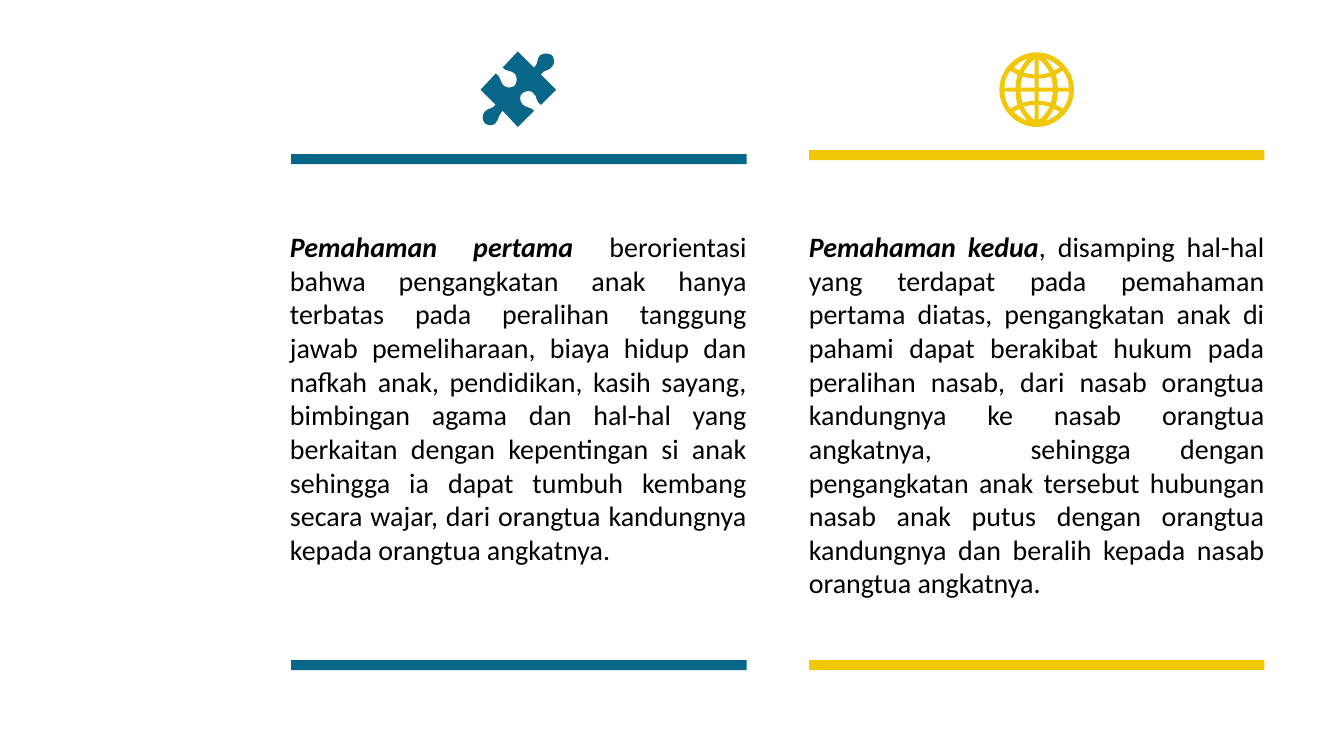
from itertools import product

from pptx import Presentation
from pptx.dml.color import RGBColor
from pptx.enum.shapes import MSO_SHAPE as Preset
from pptx.enum.text import MSO_AUTO_SIZE as AutoSize, PP_ALIGN as Align
from pptx.oxml.ns import qn
from pptx.util import Pt

PX = 9144
BLUE, YELLOW, BLACK = "086788", "F0C808", "000000"

PUZZLE = [
    (548, 55), (550, 58, 551, 63, 548, 66), (545, 71, 541, 68, 537, 74),
    (552, 89), (537, 104), (531, 100, 534, 96, 529, 92),
    (526, 89, 521, 90, 518, 93), (516, 95, 515, 100, 519, 104),
    (524, 108, 525, 105, 530, 110), (514, 126), (499, 110),
    (494, 115, 496, 117, 492, 122), (489, 126, 483, 124, 481, 122),
    (479, 119, 478, 115, 481, 111), (484, 107, 488, 109, 492, 104),
    (477, 89), (492, 73), (498, 77, 496, 82, 500, 85),
    (504, 88, 508, 87, 511, 85), (513, 82, 514, 77, 511, 73),
    (506, 69, 504, 72, 499, 67), (514, 51), (530, 67),
    (535, 62, 532, 60, 536, 55), (540, 52, 545, 53, 548, 55),
]
GLOBE_RIM = [
    (37, 0), (37, 20, 20, 37, 0, 37), (-20, 37, -37, 20, -37, 0),
    (-37, -20, -20, -37, 0, -37), (20, -37, 37, -20, 37, 0),
]
GLOBE_QUARTER = [
    [(2, 2), (2, 11), (6, 11, 10, 12, 14, 13), (15, 10, 16, 6, 16, 2)],
    [(21, 2), (21, 7, 20, 11, 19, 15), (21, 16, 24, 17, 26, 19),
     (29, 15, 32, 9, 32, 2)],
    [(2, 15), (2, 30), (7, 27, 10, 22, 13, 17), (9, 16, 5, 15, 2, 15)],
    [(17, 19), (15, 23, 12, 27, 9, 31), (14, 29, 19, 26, 23, 22),
     (21, 21, 19, 20, 17, 19)],
]


def color(value):
    return RGBColor.from_string(value)


def px(value):
    return round(value * PX)


def mirror(contour, horizontal, vertical):
    signs = (horizontal, vertical) * 3
    return [tuple(value * sign for value, sign in zip(segment, signs))
            for segment in contour]


def bend(shape, contours):
    lines = iter(list(shape.element.iter(qn("a:lnTo"))))
    for contour in contours:
        for segment in contour[1:]:
            curve = next(lines)
            if len(segment) == 6:
                curve.tag = qn("a:cubicBezTo")
                for line in (next(lines), next(lines)):
                    curve.append(line[0])
                    line.getparent().remove(line)


class Slide:
    def __init__(self, deck, font="Calibri", size=20):
        self.page = deck.slides.add_slide(deck.slide_layouts[6])
        self.font, self.size = font, size

    def paint(self, shape, fill):
        shape.shadow.inherit = False
        shape.fill.solid()
        shape.fill.fore_color.rgb = color(fill)
        shape.line.fill.background()

    def bar(self, left, top, width, height, fill):
        frame = map(px, (left, top, width, height))
        self.paint(self.page.shapes.add_shape(Preset.RECTANGLE, *frame), fill)

    def icon(self, contours, fill, left=0, top=0):
        placed = [[(px(x + left), px(y + top))
                   for segment in contour
                   for x, y in zip(segment[::2], segment[1::2])]
                  for contour in contours]
        builder = self.page.shapes.build_freeform(*placed[0][0])
        for index, points in enumerate(placed):
            if index:
                builder.move_to(*points[0])
            builder.add_line_segments(points[1:], close=True)
        shape = builder.convert_to_shape()
        bend(shape, contours)
        self.paint(shape, fill)

    def span(self, para, text, bold=False, italic=False, fill=BLACK):
        span = para.add_run()
        span.text = text
        span.font.name, span.font.size = self.font, Pt(self.size)
        span.font.bold, span.font.italic = bold, italic
        span.font.color.rgb = color(fill)

    def passage(self, left, top, width, height, title, text):
        box = self.page.shapes.add_textbox(*map(px, (left, top, width, height)))
        box.text_frame.word_wrap = True
        box.text_frame.auto_size = AutoSize.SHAPE_TO_FIT_TEXT
        para = box.text_frame.paragraphs[0]
        para.alignment = Align.JUSTIFY
        self.span(para, title, bold=True, italic=True)
        self.span(para, text)


def main():
    deck = Presentation()
    deck.slide_width, deck.slide_height = px(1334), px(750)
    slide = Slide(deck)

    for left, top, fill in ((289, 153, BLUE), (289, 655, BLUE),
                            (803, 149, YELLOW), (803, 655, YELLOW)):
        slide.bar(left, top, 452, 10, fill)

    slide.passage(
        278, 223, 473, 344, "Pemahaman pertama",
        " berorientasi bahwa pengangkatan anak hanya terbatas pada peralihan "
        "tanggung jawab pemeliharaan, biaya hidup dan nafkah anak, pendidikan, "
        "kasih sayang, bimbingan agama dan hal-hal yang berkaitan dengan "
        "kepentingan si anak sehingga ia dapat tumbuh kembang secara wajar, "
        "dari orangtua kandungnya kepada orangtua angkatnya.")

    cells = [mirror(cell, *signs)
             for cell, signs in product(GLOBE_QUARTER, product((1, -1), repeat=2))]
    slide.icon([GLOBE_RIM] + cells, YELLOW, left=1029, top=89)
    slide.icon([PUZZLE], BLUE)

    slide.passage(
        793, 223, 472, 377, "Pemahaman kedua",
        ", disamping hal-hal yang terdapat pada pemahaman pertama diatas, "
        "pengangkatan anak di pahami dapat berakibat hukum pada peralihan "
        "nasab, dari nasab orangtua kandungnya ke nasab orangtua angkatnya,  "
        "sehingga dengan pengangkatan anak tersebut hubungan nasab anak putus "
        "dengan orangtua kandungnya dan beralih kepada nasab orangtua angkatnya.")

    deck.save("out.pptx")


if __name__ == "__main__":
    main()
